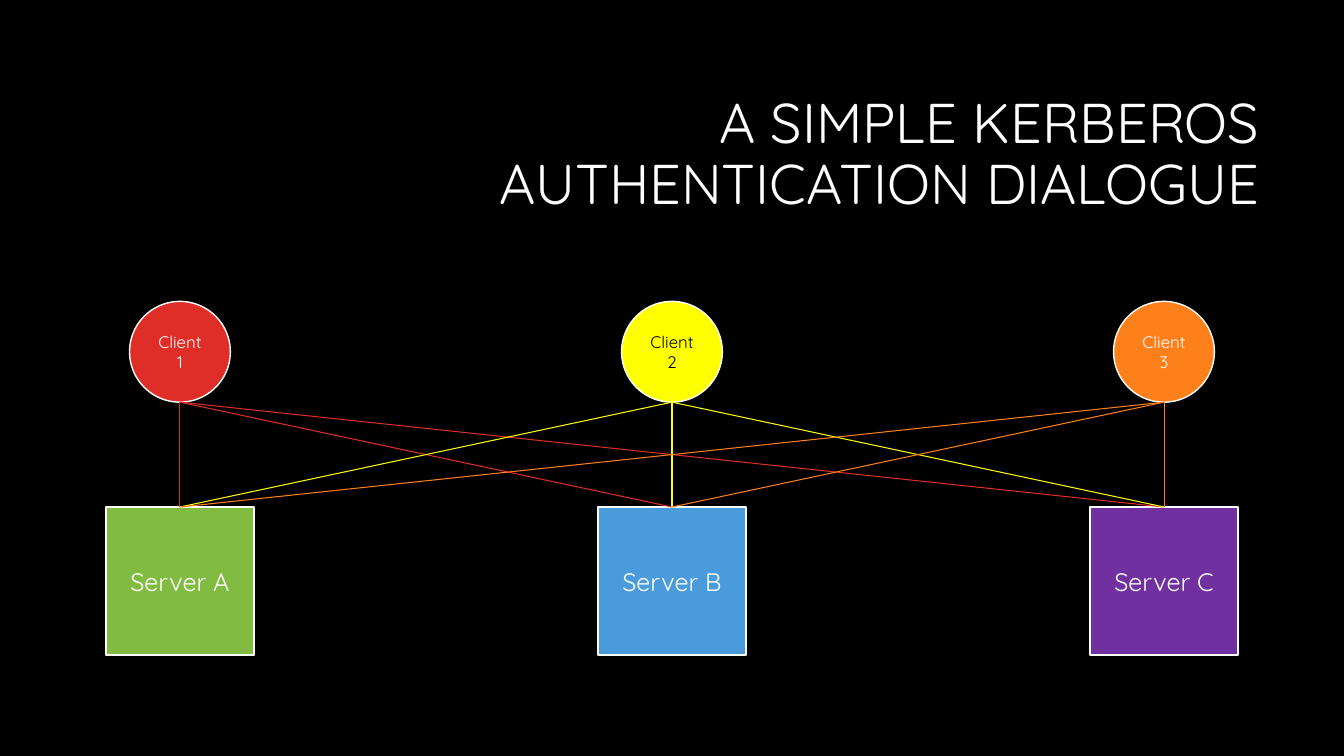
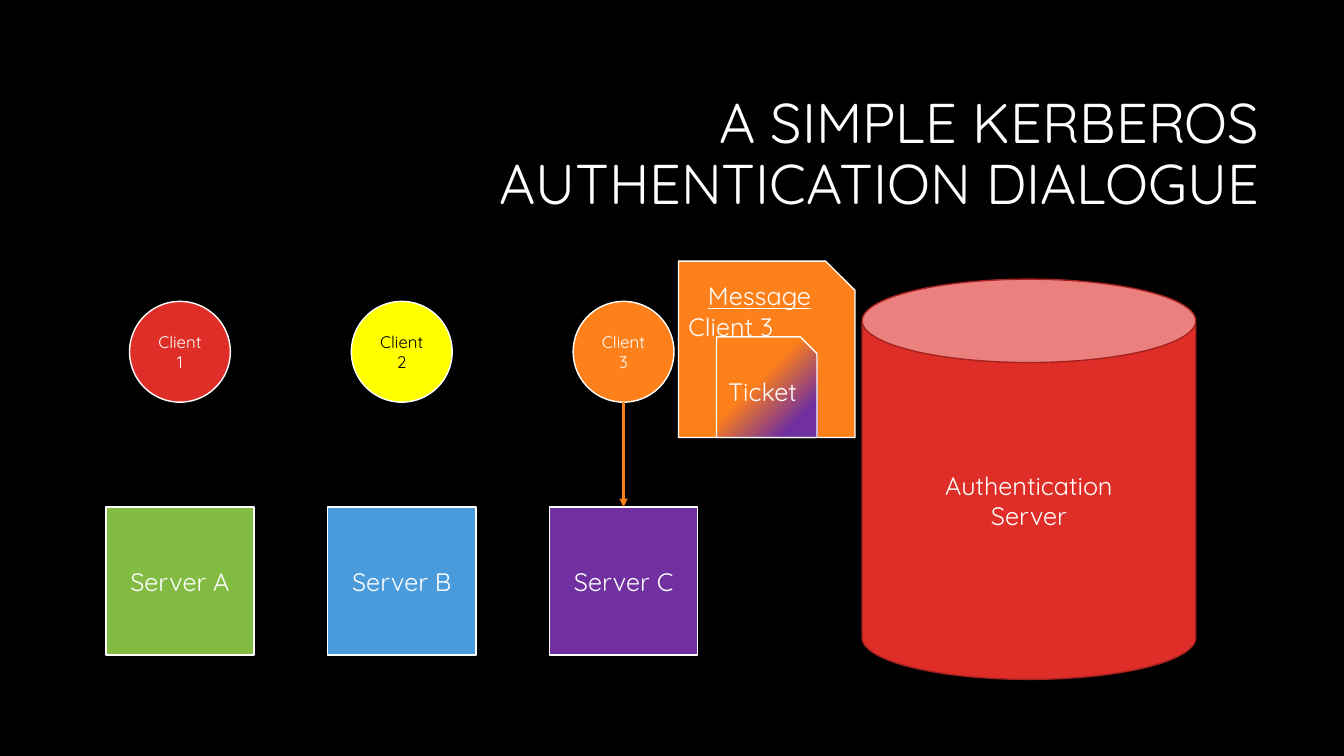
from dataclasses import dataclass

from lxml import etree
from pptx import Presentation
from pptx import util as u
from pptx.dml.color import RGBColor
from pptx.enum import shapes, text
from pptx.oxml import ns


@dataclass(frozen=True)
class Theme:
    font: str = "Quicksand"
    background: str = "000000"
    white: str = "FFFFFF"
    black: str = "000000"
    red: str = "DF2E28"
    dark_red: str = "A5221E"
    yellow: str = "FFFF00"
    orange: str = "FE801A"
    green: str = "81BB42"
    blue: str = "4A9BDC"
    purple: str = "7030A0"
    title_size: float = 40
    label_size: float = 18
    client_size: float = 12
    outline: float = 1
    link: float = 0.75
    arrow: float = 2


@dataclass(frozen=True)
class Box:
    """A region in inches."""
    left: float
    top: float
    width: float
    height: float

    def emu(self):
        return [u.Inches(v) for v in (self.left, self.top, self.width, self.height)]


THEME = Theme()
SHAPE, ALIGN = shapes.MSO_SHAPE, text.PP_ALIGN
TITLE = "A SIMPLE KERBEROS AUTHENTICATION DIALOGUE"
TITLE_BOX = Box(3.17, 0.84, 9.42, 1.41)
CLIENTS = [("1", THEME.red, THEME.white),
           ("2", THEME.yellow, THEME.black),
           ("3", THEME.orange, THEME.white)]
SERVERS = [("A", THEME.green), ("B", THEME.blue), ("C", THEME.purple)]
CLIENT_SIDE, SERVER_SIDE = 1.0, 1.47


# Shared parts

def rgb(colour):
    return RGBColor.from_string(colour)


def add_run(paragraph, words, size, colour=THEME.white, underline=None):
    run = paragraph.add_run()
    run.text = words
    run.font.name = THEME.font
    run.font.size = u.Pt(size)
    run.font.color.rgb = rgb(colour)
    run.font.underline = underline


def add_node(parent, kind, box, fill, outline=THEME.white):
    node = parent.add_shape(kind, *box.emu())
    node.shadow.inherit = False
    node.fill.solid()
    node.fill.fore_color.rgb = rgb(fill)
    node.line.color.rgb = rgb(outline)
    node.line.width = u.Pt(THEME.outline)
    return node


def add_label(node, lines, size=THEME.label_size, colour=THEME.white):
    """Centre the lines in one paragraph, parted by line breaks."""
    paragraph = node.text_frame.paragraphs[0]
    paragraph.alignment = ALIGN.CENTER
    for i, line in enumerate(lines):
        if i:
            paragraph.add_line_break()
        add_run(paragraph, line, size, colour)


def add_link(slide, client, server, colour, width, arrow=False):
    """Run a line from the foot of a client to the top of a server."""
    foot = client.left + client.width // 2, client.top + client.height
    link = slide.shapes.add_connector(shapes.MSO_CONNECTOR.STRAIGHT, *foot, *foot)
    link.end_connect(server, 0)
    link.line.color.rgb = rgb(colour)
    link.line.width = u.Pt(width)
    if arrow:
        etree.SubElement(link.line._get_or_add_ln(), ns.qn("a:tailEnd"), type="triangle")
    etree.SubElement(link._element.spPr, ns.qn("a:effectLst"))


def set_gradient(node, stops, angle):
    """Fill with (percent, colour) stops; the angle runs clockwise."""
    node.fill.gradient()
    gradient = node._element.spPr.find(ns.qn("a:gradFill"))
    stop_list = gradient.find(ns.qn("a:gsLst"))
    for old in list(stop_list):
        stop_list.remove(old)
    for percent, colour in stops:
        stop = etree.SubElement(stop_list, ns.qn("a:gs"), pos=str(percent * 1000))
        etree.SubElement(stop, ns.qn("a:srgbClr"), val=colour)
    node.fill.gradient_angle = 360 - angle


# Regions

def add_titled_slide(prs):
    slide = prs.slides.add_slide(prs.slide_layouts[5])
    title = slide.shapes.title
    title.left, title.top, title.width, title.height = TITLE_BOX.emu()
    frame = title.text_frame
    frame.auto_size = text.MSO_AUTO_SIZE.NONE
    frame.word_wrap = True
    frame.vertical_anchor = text.MSO_ANCHOR.MIDDLE
    paragraph = frame.paragraphs[0]
    paragraph.alignment = ALIGN.RIGHT
    paragraph.line_spacing = 0.9
    add_run(paragraph, TITLE, THEME.title_size)
    return slide


def add_network(slide, box):
    """Clients along the top of the box, servers along its foot."""
    step = (box.width - SERVER_SIDE) / (len(SERVERS) - 1)
    inset = (SERVER_SIDE - CLIENT_SIDE) / 2
    clients, servers = [], []
    for i, (number, fill, ink) in enumerate(CLIENTS):
        place = Box(box.left + i * step + inset, box.top, CLIENT_SIDE, CLIENT_SIDE)
        client = add_node(slide.shapes, SHAPE.OVAL, place, fill)
        add_label(client, ["Client", number], THEME.client_size, ink)
        clients.append(client)
    for i, (letter, fill) in enumerate(SERVERS):
        place = Box(box.left + i * step, box.top + box.height - SERVER_SIDE,
                    SERVER_SIDE, SERVER_SIDE)
        server = add_node(slide.shapes, SHAPE.RECTANGLE, place, fill)
        add_label(server, [f"Server {letter}"])
        servers.append(server)
    return clients, servers


def add_authentication_server(slide, box):
    can = add_node(slide.shapes, SHAPE.CAN, box, THEME.red, THEME.dark_red)
    add_label(can, ["Authentication", "Server"])


def add_message(slide, box):
    """A message sheet with a ticket centred at its foot."""
    group = slide.shapes.add_group_shape()
    message = add_node(group.shapes, SHAPE.SNIP_1_RECTANGLE, box, THEME.orange)
    frame = message.text_frame
    frame.vertical_anchor = text.MSO_ANCHOR.TOP
    heading = frame.paragraphs[0]
    heading.alignment = ALIGN.CENTER
    add_run(heading, "Message", THEME.label_size, underline=True)
    sender = frame.add_paragraph()
    sender.alignment = ALIGN.LEFT
    add_run(sender, "Client 3", THEME.label_size)

    side = box.width * 0.57
    place = Box(box.left + (box.width - side) / 2, box.top + box.height - side, side, side)
    ticket = add_node(group.shapes, SHAPE.SNIP_1_RECTANGLE, place, THEME.orange)
    set_gradient(ticket, [(0, THEME.orange), (42, THEME.orange),
                          (82, THEME.purple), (100, THEME.purple)], 45)
    add_label(ticket, ["Ticket"])


# Slides

def build_open_network(prs):
    slide = add_titled_slide(prs)
    clients, servers = add_network(slide, Box(1.05, 2.99, 11.23, 3.51))
    for client, (_, colour, _) in zip(clients, CLIENTS):
        for server in servers:
            add_link(slide, client, server, colour, THEME.link)


def build_ticket_exchange(prs):
    slide = add_titled_slide(prs)
    clients, servers = add_network(slide, Box(1.05, 2.99, 5.87, 3.51))
    add_authentication_server(slide, Box(8.55, 2.77, 3.31, 3.97))
    add_link(slide, clients[-1], servers[-1], THEME.orange, THEME.arrow, arrow=True)
    add_message(slide, Box(6.73, 2.59, 1.75, 1.75))


def main():
    prs = Presentation()
    prs.slide_width, prs.slide_height = u.Inches(13.33), u.Inches(7.5)
    backdrop = prs.slide_master.background.fill
    backdrop.solid()
    backdrop.fore_color.rgb = rgb(THEME.background)
    build_open_network(prs)
    build_ticket_exchange(prs)
    prs.save("out.pptx")


if __name__ == "__main__":
    main()
